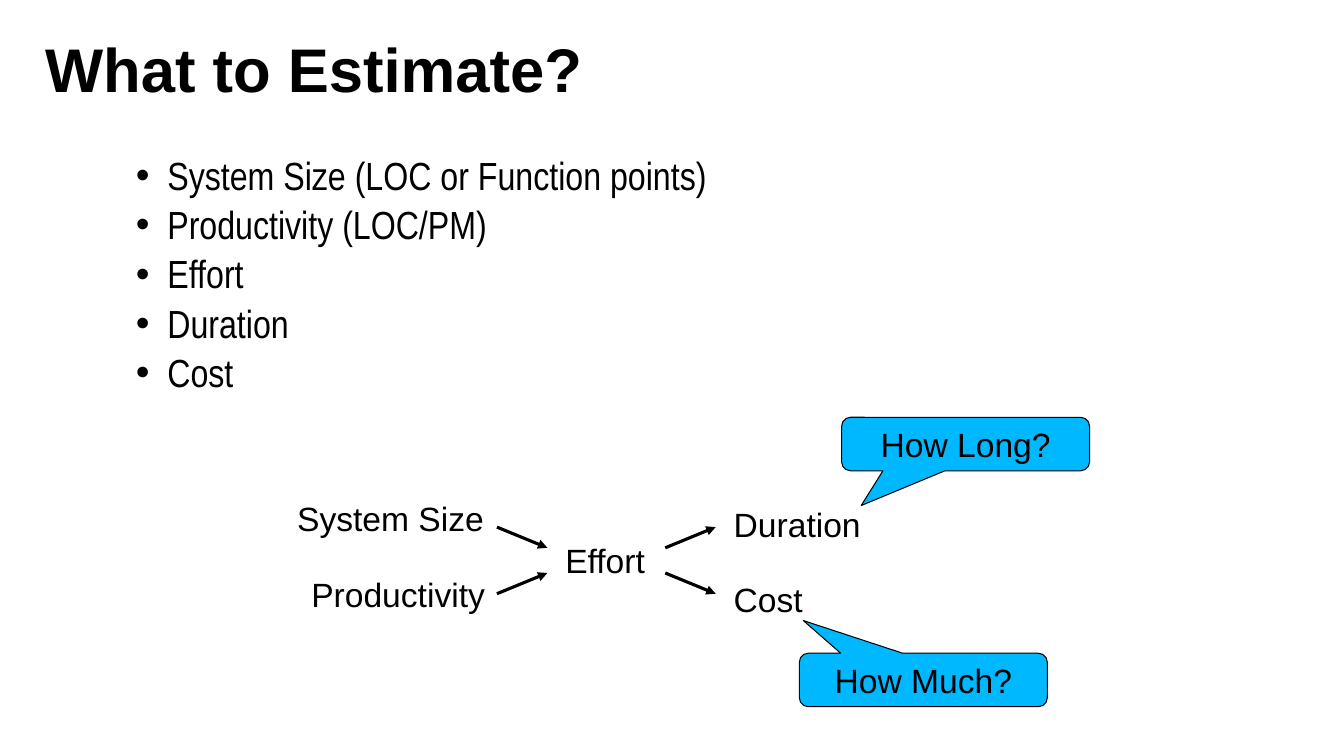
from lxml.etree import SubElement
from pptx import Presentation
from pptx.dml.color import RGBColor
from pptx.enum.shapes import MSO_CONNECTOR, MSO_SHAPE
from pptx.enum.text import MSO_ANCHOR, MSO_AUTO_SIZE, PP_ALIGN
from pptx.oxml.ns import qn
from pptx.util import Pt

COLORS = {"ink": "000000", "callout": "00B8FF"}

TITLE = "What to Estimate?"
BULLETS = [
    "System Size (LOC or Function points)",
    "Productivity (LOC/PM)",
    "Effort",
    "Duration",
    "Cost",
]
# text, left, top, width
LABELS = [
    ("System Size", 205.2, 352.1, 149),
    ("Productivity", 215.3, 406.1, 139.7),
    ("Effort", 396.7, 382.3, 72),
    ("Duration", 517, 356.4, 105.1),
    ("Cost", 517, 409.7, 64.1),
]
# text, left, top, pointer offsets as shares of the width and height
CALLOUTS = [
    ("How Long?", 601.2, 298.1, -0.421, 1.15),
    ("How Much?", 571, 466.6, -0.484, -1.111),
]
CALLOUT_W, CALLOUT_H = 177.1, 38.2

ARROW_LEFTS = (355, 475.2)  # into Effort, out of Effort
ARROW_W = 36
ARROW_MID, ARROW_NEAR, ARROW_FAR = 400.3, 9, 23.8


def rgb(name):
    return RGBColor.from_string(COLORS[name])


def style(p, size, font="Arial", bold=False):
    for r in p.runs:
        r.font.size, r.font.name, r.font.bold = Pt(size), font, bold
        r.font.color.rgb = rgb("ink")


def add_text(slide, left, top, width, height):
    sp = slide.shapes.add_textbox(Pt(left), Pt(top), Pt(width), Pt(height))
    sp.text_frame.word_wrap = True
    return sp.text_frame


def add_bullets(slide):
    tf = add_text(slide, 54, 108, 748, 221.8)
    for i, text in enumerate(BULLETS):
        p = tf.add_paragraph() if i else tf.paragraphs[0]
        p.text = text
        p.line_spacing = 0.9
        if i:
            p.space_before = Pt(5)
        pPr = p._p.get_or_add_pPr()
        pPr.set("marL", str(Pt(58.5)))
        pPr.set("indent", str(Pt(-22.5)))
        SubElement(pPr, qn("a:buFont"), typeface="Arial")
        SubElement(pPr, qn("a:buChar"), char="•")
        style(p, 28, "Arial Narrow")


def add_label(slide, text, left, top, width):
    tf = add_text(slide, left, top, width, 36.4)
    tf.word_wrap = False
    tf.auto_size = MSO_AUTO_SIZE.SHAPE_TO_FIT_TEXT
    tf.text = text
    style(tf.paragraphs[0], 24)


def add_callout(slide, text, left, top, dx, dy):
    sp = slide.shapes.add_shape(MSO_SHAPE.ROUNDED_RECTANGULAR_CALLOUT,
                                Pt(left), Pt(top), Pt(CALLOUT_W), Pt(CALLOUT_H))
    sp.adjustments[0], sp.adjustments[1] = dx, dy
    sp.shadow.inherit = False
    sp.fill.solid()
    sp.fill.fore_color.rgb = rgb("callout")
    sp.line.color.rgb = rgb("ink")
    sp.line.width = Pt(0.75)
    tf = sp.text_frame
    tf.vertical_anchor = MSO_ANCHOR.MIDDLE
    tf.text = text
    tf.paragraphs[0].alignment = PP_ALIGN.CENTER
    style(tf.paragraphs[0], 24)


def add_arrow(slide, left, y1, y2):
    line = slide.shapes.add_connector(MSO_CONNECTOR.STRAIGHT, Pt(left), Pt(y1),
                                      Pt(left + ARROW_W), Pt(y2))
    line.line.color.rgb = rgb("ink")
    line.line.width = Pt(2.25)
    SubElement(line.line._get_or_add_ln(), qn("a:tailEnd"), type="triangle")
    SubElement(line._element.spPr, qn("a:effectLst"))


def main():
    prs = Presentation()
    prs.slide_width, prs.slide_height = Pt(960), Pt(540)
    slide = prs.slides.add_slide(prs.slide_layouts[6])

    tf = add_text(slide, 25.2, 17.3, 612, 67.7)
    tf.vertical_anchor = MSO_ANCHOR.MIDDLE
    tf.text = TITLE
    tf.paragraphs[0].line_spacing = 0.93
    style(tf.paragraphs[0], 44, bold=True)

    add_bullets(slide)
    for label in LABELS:
        add_label(slide, *label)
    into, out = ARROW_LEFTS
    for side in (-1, 1):
        near, far = ARROW_MID + side * ARROW_NEAR, ARROW_MID + side * ARROW_FAR
        add_arrow(slide, into, far, near)
        add_arrow(slide, out, near, far)
    for callout in CALLOUTS:
        add_callout(slide, *callout)

    prs.save("out.pptx")


if __name__ == "__main__":
    main()
